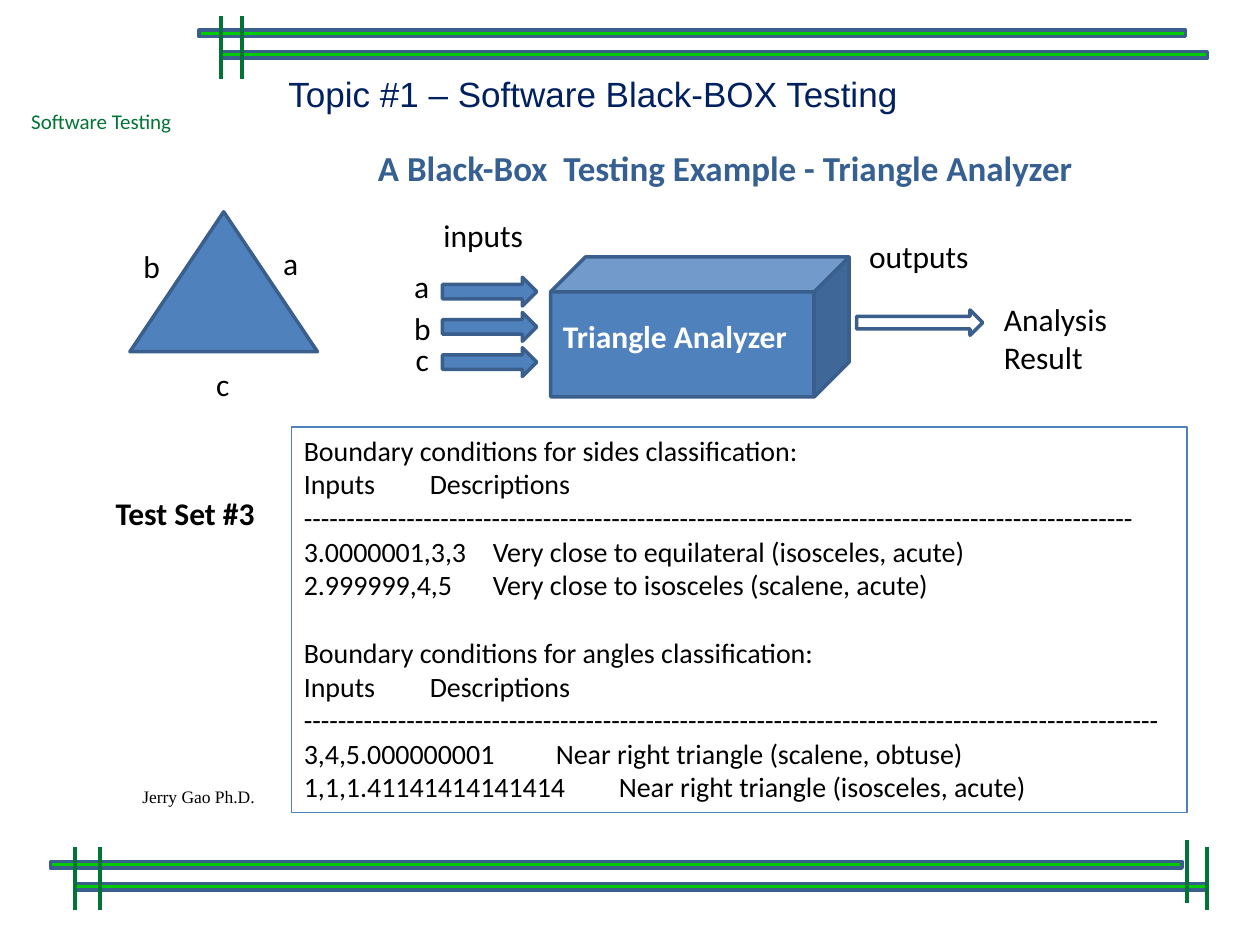
from lxml import etree
from pptx import Presentation, util as u
from pptx.dml.color import RGBColor
from pptx.enum import shapes, text
from pptx.oxml import ns

NAVY = RGBColor(0x00, 0x20, 0x60)
GREEN = RGBColor(0x00, 0x74, 0x34)
LIME = RGBColor(0x00, 0xCC, 0x00)
BLUE = RGBColor(0x4F, 0x81, 0xBD)
EDGE = RGBColor(0x3A, 0x5F, 0x8C)
HEADING = RGBColor(0x37, 0x60, 0x92)
BLACK = RGBColor(0, 0, 0)
WHITE = RGBColor(255, 255, 255)

# Content; places are left, top, width, height in cm
TITLE = "Topic #1 – Software Black-BOX Testing"
TITLE_PLACE = (5.56, 1.32, 14.88, 1.12)
TITLE_FORMAT = {"name": "Arial", "size": 20, "color": NAVY}

CONDITIONS_PLACE = (5.87, 8.61, 18.06, 7.77)
CONDITIONS_FORMAT = {"size": 16}
DESCRIPTION_TAB = 7.62
CONDITION_GROUPS = [
    ("Boundary conditions for sides classification:", 97, [
        ("3.0000001,3,3", "Very close to equilateral (isosceles, acute)"),
        ("2.999999,4,5", "Very close to isosceles (scalene, acute)")]),
    ("Boundary conditions for angles classification:", 100, [
        ("3,4,5.000000001", "Near right triangle (scalene, obtuse)"),
        ("1,1,1.41141414141414", "Near right triangle (isosceles, acute)")]),
]

BARS = [(4.01, 0.61, 19.89), (4.45, 1.04, 19.89),
        (1.02, 17.37, 22.81), (1.52, 17.81, 22.81)]
BAR_HEIGHT = 0.13
POSTS = [(4.45, 0.33), (4.88, 0.33), (1.52, 17.07), (2.01, 17.07),
         (24.33, 17.07), (23.93, 16.94)]
POST_HEIGHT = 1.27

KIND = shapes.MSO_SHAPE
INPUT_COUNT, INPUT_STEP = 3, 0.71
DIAGRAM = [
    (KIND.CUBE, (11.1, 5.18, 6.02, 2.82), BLUE),
    (KIND.ISOSCELES_TRIANGLE, (2.62, 4.27, 3.78, 2.82), BLUE),
    (KIND.RIGHT_ARROW, (17.27, 6.25, 2.54, 0.51), WHITE),
] + [(KIND.RIGHT_ARROW, (8.92, 5.59 + i * INPUT_STEP, 1.9, 0.58), BLUE)
     for i in range(INPUT_COUNT)]

LABELS = [
    ("Software Testing", (0.38, 2.06, 3.38, 0.76), {"size": 12, "color": GREEN}),
    ("Jerry Gao Ph.D.", (2.62, 15.72, 2.79, 0.69),
     {"name": "Times New Roman", "size": 10}),
    ("A Black-Box  Testing Example - Triangle Analyzer",
     (7.37, 2.82, 14.66, 1.12), {"size": 20, "bold": True, "color": HEADING}),
    ("Triangle Analyzer", (11.1, 6.27, 5.05, 1.02), {"bold": True, "color": WHITE}),
    ("Test Set #3", (2.08, 9.83, 3.35, 1.02), {"bold": True}),
    ("inputs", (8.69, 4.24, 2.13, 1.02), {}),
    ("outputs", (17.27, 4.65, 2.54, 1.02), {}),
    ("Analysis\nResult", (19.99, 5.92, 2.62, 1.8), {}),
    # Triangle sides
    ("b", (2.64, 4.85, 0.86, 1.02), {}),
    ("a", (5.46, 4.8, 0.81, 1.02), {}),
    ("c", (4.11, 7.24, 0.79, 1.02), {}),
    # Analyzer inputs
    ("a", (8.1, 5.26, 0.81, 1.02), {}),
    ("b", (8.1, 6.1, 0.86, 1.02), {}),
    ("c", (8.13, 6.73, 0.79, 1.02), {}),
]
BASE_FORMAT = {"name": "Calibri", "size": 18, "bold": False, "color": BLACK}


def lengths(place):
    return [u.Cm(value) for value in place]


def put(box, place):
    box.left, box.top, box.width, box.height = lengths(place)


def write(para, words, changes):
    span = para.add_run()
    span.text = words
    for key, value in {**BASE_FORMAT, **changes}.items():
        if key == "color":
            span.font.color.rgb = value
        else:
            setattr(span.font, key, u.Pt(value) if key == "size" else value)


def add_figure(page, kind, place, fill):
    box = page.shapes.add_shape(kind, *lengths(place))
    box.shadow.inherit = False
    box.fill.solid()
    box.fill.fore_color.rgb = fill
    box.line.color.rgb = EDGE
    box.line.width = u.Pt(2)


def add_post(page, left, top):
    line = page.shapes.add_connector(
        shapes.MSO_CONNECTOR.STRAIGHT, *lengths((left, top, left, top + POST_HEIGHT)))
    line.line.color.rgb = GREEN
    line.line.width = u.Pt(2.25)
    etree.SubElement(line._element.spPr, ns.qn("a:effectLst"))


def add_label(page, words, place, changes):
    frame = page.shapes.add_textbox(*lengths(place)).text_frame
    frame.word_wrap = False
    frame.auto_size = text.MSO_AUTO_SIZE.SHAPE_TO_FIT_TEXT
    for i, row in enumerate(words.split("\n")):
        write(frame.add_paragraph() if i else frame.paragraphs[0], row, changes)


def fill_title(box):
    put(box, TITLE_PLACE)
    box.fill.solid()
    box.fill.fore_color.rgb = WHITE
    box.text_frame.auto_size = text.MSO_AUTO_SIZE.NONE
    para = box.text_frame.paragraphs[0]
    para.alignment = text.PP_ALIGN.LEFT
    write(para, TITLE, TITLE_FORMAT)


def fill_conditions(box):
    put(box, CONDITIONS_PLACE)
    box.line.color.rgb = BLUE
    box.line.width = u.Pt(0.75)
    frame = box.text_frame
    frame.auto_size = text.MSO_AUTO_SIZE.NONE
    for group, (heading, dashes, cases) in enumerate(CONDITION_GROUPS):
        rows = [heading, "Inputs\tDescriptions", "-" * dashes]
        rows += ["\t".join(case) for case in cases]
        for i, row in enumerate(rows):
            para = frame.add_paragraph() if group or i else frame.paragraphs[0]
            # Plain lines with one tab stop for the descriptions
            props = para._p.get_or_add_pPr()
            props.set("marL", "0")
            props.set("indent", "0")
            etree.SubElement(props, ns.qn("a:buNone"))
            tabs = etree.SubElement(props, ns.qn("a:tabLst"))
            etree.SubElement(tabs, ns.qn("a:tab"),
                             pos=str(u.Cm(DESCRIPTION_TAB)), algn="l")
            para.space_before = u.Pt(19.5 if group and i == 0 else 0)
            write(para, row, CONDITIONS_FORMAT)


def main():
    deck = Presentation()
    deck.slide_width, deck.slide_height = u.Cm(25.4), u.Cm(19.05)
    page = deck.slides.add_slide(deck.slide_layouts[1])

    # Title and list
    fill_title(page.shapes.title)
    fill_conditions(page.placeholders[1])

    # Green frame
    for left, top, width in BARS:
        add_figure(page, KIND.FLOWCHART_PROCESS, (left, top, width, BAR_HEIGHT), LIME)
    for post in POSTS:
        add_post(page, *post)

    # Diagram and its labels
    for figure in DIAGRAM:
        add_figure(page, *figure)
    for label in LABELS:
        add_label(page, *label)

    deck.save("out.pptx")


if __name__ == "__main__":
    main()
